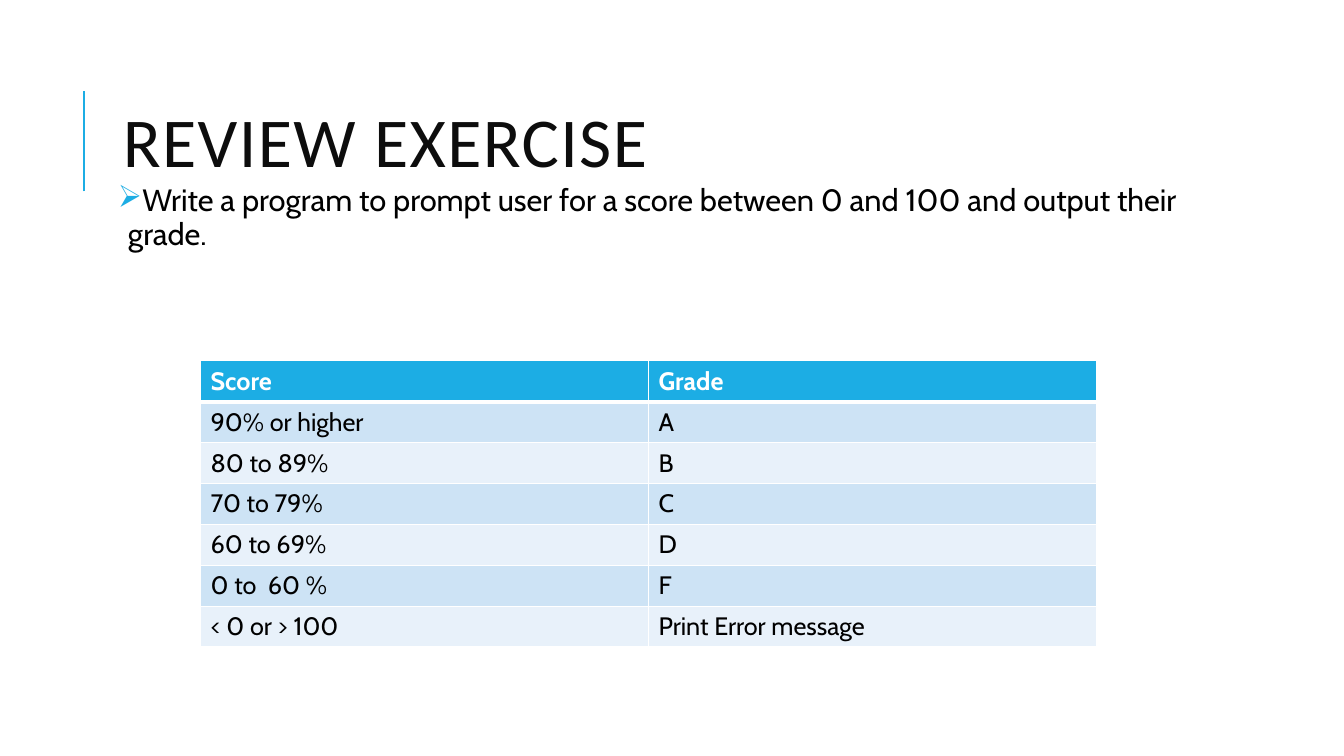
from lxml.etree import SubElement as add_child
from pptx import Presentation
from pptx.dml.color import RGBColor
from pptx.enum.shapes import MSO_CONNECTOR as Connector
from pptx.enum.text import MSO_ANCHOR as Anchor
from pptx.oxml.ns import qn
from pptx.util import Inches, Pt

ACCENT, WHITE, BLACK, TITLE_INK = "1CADE4", "FFFFFF", "000000", "0D0D0D"
BANDS = ("CDE3F5", "E8F1FA")
WIDTH, HEIGHT = Inches(13.333), Inches(7.5)

GRADES = [
    ("Score", "Grade"),
    ("90% or higher", "A"),
    ("80 to 89%", "B"),
    ("70 to 79%", "C"),
    ("60 to 69%", "D"),
    ("0 to  60 %", "F"),
    ("< 0 or > 100", "Print Error message"),
]


def color(value):
    return RGBColor.from_string(value)


def place(left, top, width, height):
    """Turn percentages of the slide into lengths."""
    return [round(share * side / 100)
            for share, side in zip((left, top, width, height), (WIDTH, HEIGHT) * 2)]


def write(frame, text, *, size, ink=BLACK, font="Cabin", bold=False,
          line=None, before=None, after=None, tracking=None):
    para = frame.paragraphs[0]
    para.line_spacing = line
    para.space_before, para.space_after = before, after
    span = para.add_run()
    span.text = text
    span.font.size, span.font.name, span.font.bold = Pt(size), font, bold
    span.font.color.rgb = color(ink)
    if tracking:
        span.font._element.set("spc", str(Pt(tracking) // 127))
    return para


def add_text(page, area, text, *, inset=None, anchor=Anchor.TOP, **style):
    frame = page.shapes.add_textbox(*place(*area)).text_frame
    frame.word_wrap, frame.vertical_anchor = True, anchor
    if inset is not None:
        frame.margin_left = frame.margin_right = Inches(inset)
        frame.margin_top = frame.margin_bottom = Inches(inset)
    return write(frame, text, **style)


def add_bullet(para, mark, ink, indent):
    props = para._p.get_or_add_pPr()
    props.set("marL", str(Inches(indent)))
    props.set("indent", str(-Inches(indent)))
    add_child(add_child(props, qn("a:buClr")), qn("a:srgbClr"), val=ink)
    add_child(props, qn("a:buChar"), char=mark)


def add_rule(page, left, top, height, ink, weight):
    x, y, _, drop = place(left, top, 0, height)
    rule = page.shapes.add_connector(Connector.STRAIGHT, x, y + drop, x, y)
    rule.line.color.rgb, rule.line.width = color(ink), Pt(weight)
    add_child(rule._element.spPr, qn("a:effectLst"))


def add_borders(cell, ink, **weights):
    props = cell._tc.get_or_add_tcPr()
    for side, weight in weights.items():
        edge = add_child(props, qn("a:ln" + side), w=str(Pt(weight)))
        add_child(add_child(edge, qn("a:solidFill")), qn("a:srgbClr"), val=ink)


def add_grid(page, area, rows):
    left, top, width, height = place(*area)
    table = page.shapes.add_table(
        len(rows), len(rows[0]), left, top, width, height).table
    for r, texts in enumerate(rows):
        header = r == 0
        for c, text in enumerate(texts):
            cell = table.cell(r, c)
            write(cell.text_frame, text, size=18, bold=header,
                  ink=WHITE if header else BLACK)
            add_borders(cell, WHITE, L=1, R=1, T=3 if r == 1 else 1,
                        B=3 if header else 1)
            cell.fill.solid()
            cell.fill.fore_color.rgb = color(ACCENT if header else BANDS[(r - 1) % 2])


def main():
    deck = Presentation()
    deck.slide_width, deck.slide_height = WIDTH, HEIGHT
    page = deck.slides.add_slide(deck.slide_layouts[6])

    # Heading with its accent rule
    add_rule(page, 6.25, 12, 13.33, ACCENT, 1.5)
    add_text(page, (8.4, 8.53, 79.72, 21.87), "REVIEW EXERCISE", anchor=Anchor.MIDDLE,
             size=50, font="Calibri", ink=TITLE_INK, line=0.8, tracking=1)

    # Task
    task = add_text(page, (8.4, 23.87, 79.72, 63.07),
                    "Write a program to prompt user for a score between 0 and 100 "
                    "and output their grade.",
                    inset=0.05, size=22, line=0.9, before=Pt(12), after=Pt(2))
    add_bullet(task, "➢", ACCENT, 0.1)

    # Grade scale
    add_grid(page, (14.92, 47.73, 66.67, 37.87), GRADES)

    deck.save("out.pptx")


if __name__ == "__main__":
    main()
